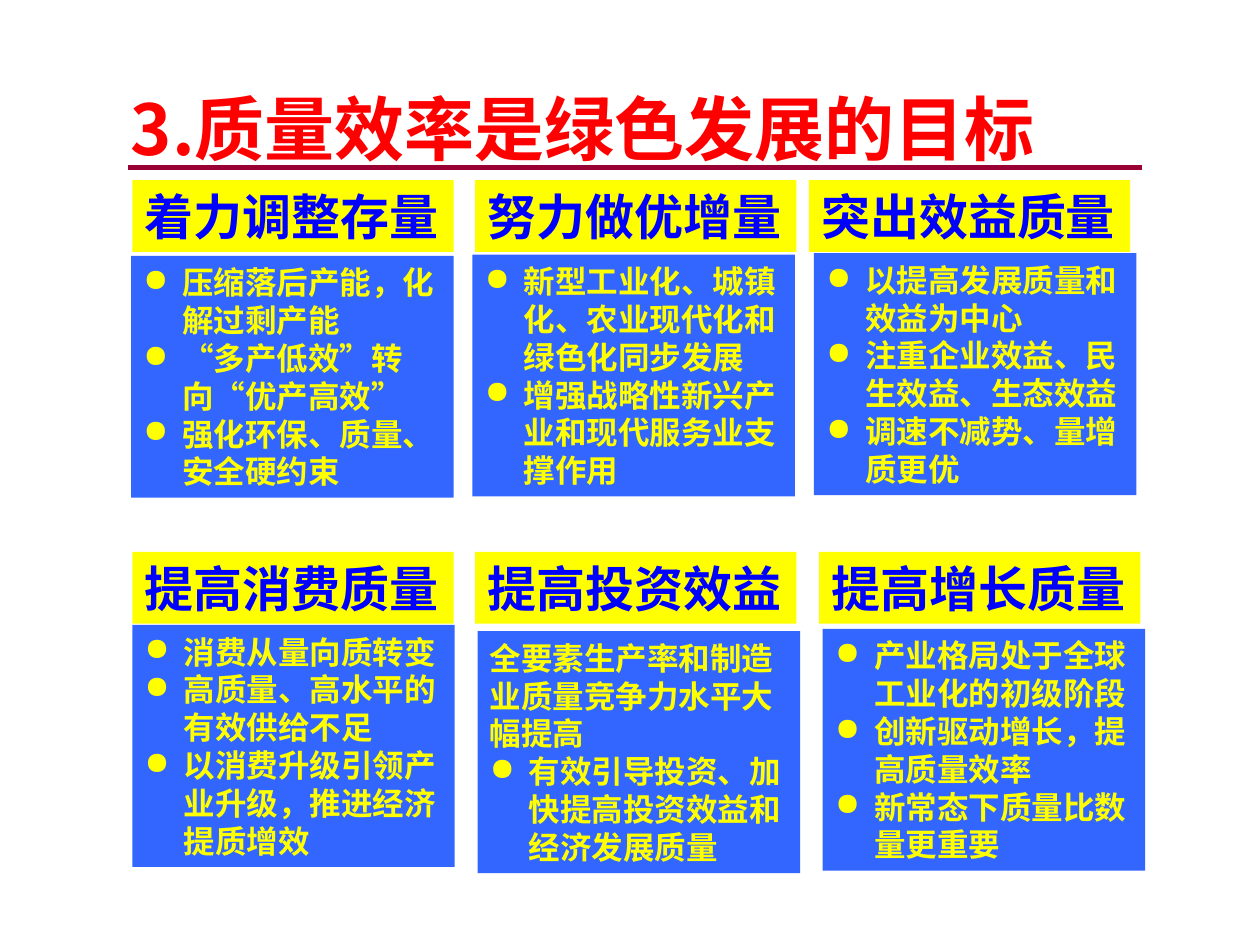
from lxml import etree
from pptx import Presentation
from pptx.dml.color import RGBColor
from pptx.enum.shapes import MSO_CONNECTOR, MSO_SHAPE
from pptx.enum.text import MSO_ANCHOR, MSO_AUTO_SIZE, PP_ALIGN
from pptx.oxml.ns import qn
from pptx.util import Inches, Pt

LINE = MSO_CONNECTOR.STRAIGHT
RECT = MSO_SHAPE.RECTANGLE
TOP, MID = MSO_ANCHOR.TOP, MSO_ANCHOR.MIDDLE
GROW = MSO_AUTO_SIZE.SHAPE_TO_FIT_TEXT
LEFT = PP_ALIGN.LEFT
FACE = "Noto Sans CJK SC"
DOT = "● "
COLORS = {
    "title": "FF0000", "rule": "990033", "head": "FFFF00",
    "head text": "0000FF", "body": "3366FF", "body text": "FFFF00",
}


def color(name):
    return RGBColor.from_string(COLORS[name])


def add_text(box, text, *, size, ink, fill=None, anchor=TOP, wrap=True):
    """Fill the box with one paragraph a line; lines led by DOT get a bullet."""
    if fill:
        box.shadow.inherit = False
        box.fill.solid()
        box.fill.fore_color.rgb = color(fill)
        box.line.fill.background()
    frame = box.text_frame
    frame.word_wrap = wrap
    frame.auto_size = GROW
    frame.vertical_anchor = anchor
    for i, line in enumerate(text.split("\n")):
        para = frame.add_paragraph() if i else frame.paragraphs[0]
        para.alignment = LEFT
        if line.startswith(DOT):
            props = para._p.get_or_add_pPr()
            props.set("marL", str(Inches(0.31)))
            props.set("indent", str(-Inches(0.31)))
            etree.SubElement(props, qn("a:buChar")).set("char", DOT.strip())
        run = para.add_run()
        run.text = line.removeprefix(DOT)
        font = run.font
        font.size, font.bold, font.name = Pt(size), True, FACE
        font.color.rgb = color(ink)
        etree.SubElement(run._r.get_or_add_rPr(), qn("a:ea")).set("typeface", FACE)


deck = Presentation()
deck.slide_width, deck.slide_height = Inches(10), Inches(7.5)
slide = deck.slides.add_slide(deck.slide_layouts[6])
shapes = slide.shapes

rule = shapes.add_connector(LINE, Inches(1.02), Inches(1.33), Inches(9.06), Inches(1.33))
rule.line.color.rgb = color("rule")
rule.line.width = Pt(3)
etree.SubElement(rule._element.spPr, qn("a:effectLst"))

# Each card: head text, head left and top, body left and top, body text
cards = [
    ("着力调整存量", 1.05, 1.43, 1.04, 2.03,
     "● 压缩落后产能，化解过剩产能\n"
     "● “多产低效”转向“优产高效”\n"
     "● 强化环保、质量、安全硬约束"),
    ("努力做优增量", 3.77, 1.43, 3.75, 2.02,
     "● 新型工业化、城镇化、农业现代化和绿色化同步发展\n"
     "● 增强战略性新兴产业和现代服务业支撑作用"),
    ("突出效益质量", 6.42, 1.43, 6.46, 2.01,
     "● 以提高发展质量和效益为中心\n"
     "● 注重企业效益、民生效益、生态效益\n"
     "● 调速不减势、量增质更优"),
    ("提高消费质量", 1.05, 4.38, 1.05, 4.96,
     "● 消费从量向质转变\n"
     "● 高质量、高水平的有效供给不足\n"
     "● 以消费升级引领产业升级，推进经济提质增效"),
    ("提高投资效益", 3.77, 4.38, 3.79, 5.01,
     "全要素生产率和制造业质量竞争力水平大幅提高\n"
     "● 有效引导投资、加快提高投资效益和经济发展质量"),
    ("提高增长质量", 6.5, 4.38, 6.53, 4.99,
     "● 产业格局处于全球工业化的初级阶段\n"
     "● 创新驱动增长，提高质量效率\n"
     "● 新常态下质量比数量更重要"),
]
for head, head_x, head_y, body_x, body_y, body in cards:
    box = shapes.add_shape(RECT, Inches(head_x), Inches(head_y), Inches(2.55), Inches(0.57))
    add_text(box, head, size=28, ink="head text", fill="head", wrap=False)
    box = shapes.add_shape(RECT, Inches(body_x), Inches(body_y), Inches(2.56), Inches(1.92))
    add_text(box, body, size=18, ink="body text", fill="body", anchor=MID)

title = shapes.add_textbox(Inches(0.94), Inches(0.63), Inches(8.52), Inches(0.77))
add_text(title, "3.质量效率是绿色发展的目标", size=40, ink="title")

deck.save("out.pptx")
